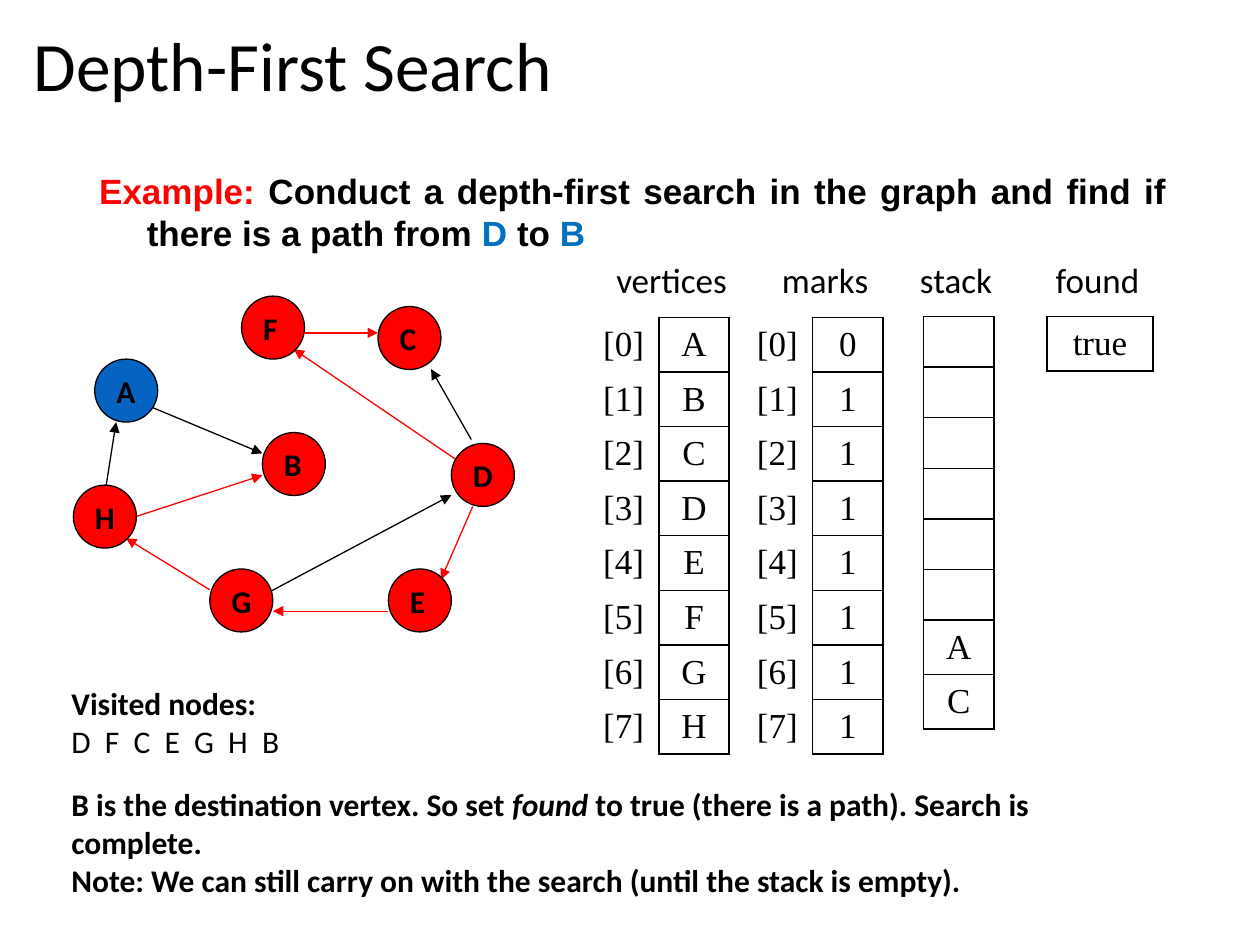
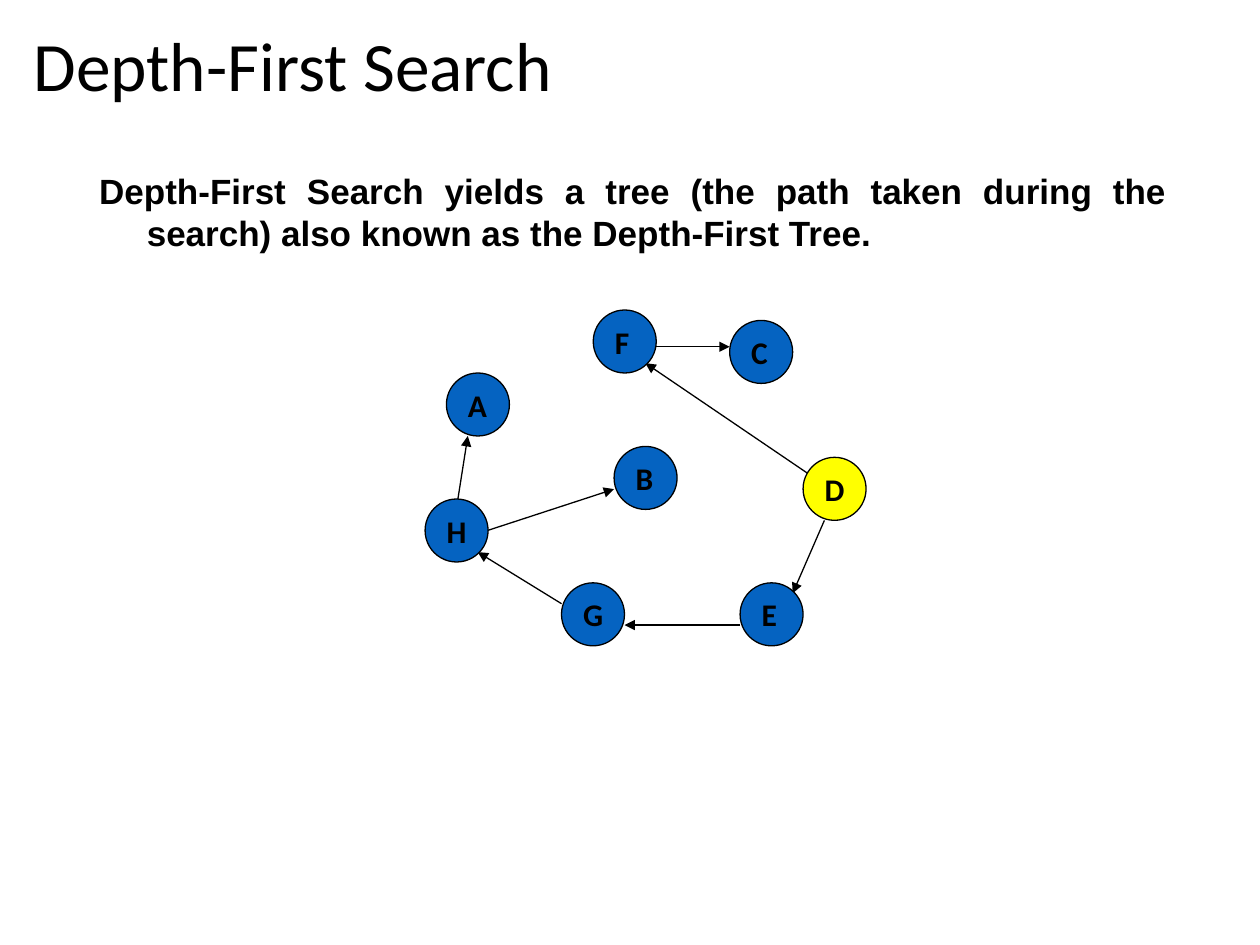
from lxml import etree
from pptx import Presentation
from pptx import util as u
from pptx.dml import color as dml
from pptx.enum import shapes, text
from pptx.oxml import ns

COLORS = {
    "black": "000000",
    "red": "FF0000",
    "blue": "0563C1",
    "accent": "0070C0",
    "yellow": "FFFF00",
}
RGB = {name: dml.RGBColor.from_string(value) for name, value in COLORS.items()}
ALIGN = text.PP_ALIGN

# Text formats
TITLE = {"name": "Calibri", "size": u.Pt(39.6)}
LEAD = {"name": "Arial", "size": u.Pt(20), "bold": True}
HEADING = {"name": "Calibri", "size": u.Pt(20)}
BODY = {"name": "Calibri", "size": u.Pt(18), "bold": True}
CELL = {"name": "Times New Roman", "size": u.Pt(20)}
HANGING = {"marL": u.Cm(0.96), "indent": -u.Cm(0.96)}


def write(tf, paragraphs, base, **para_format):
    """Fill a text frame; each paragraph is a list of (text, format changes)."""
    tf.word_wrap = True
    for i, runs in enumerate(paragraphs):
        p = tf.paragraphs[0] if i == 0 else tf.add_paragraph()
        for key, value in para_format.items():
            setattr(p, key, value)
        for words, changes in runs:
            r = p.add_run()
            r.text = words
            fmt = {"color": "black", **base, **changes}
            r.font.color.rgb = RGB[fmt.pop("color")]
            for key, value in fmt.items():
                setattr(r.font, key, value)


def text_box(s, box, paragraphs, base, **para_format):
    sp = s.shapes.add_textbox(*map(u.Cm, box))
    write(sp.text_frame, paragraphs, base, **para_format)
    return sp.text_frame


prs = Presentation()
prs.slide_width, prs.slide_height = u.Cm(25.4), u.Cm(19.05)

# Graph geometry in cm, as placed on the first slide
NODE_SIZE = 1.27
NODES = {
    "A": (1.91, 7.24), "H": (1.48, 9.78), "B": (5.29, 8.72), "F": (4.87, 5.97),
    "E": (7.83, 11.47), "D": (9.1, 8.94), "C": (7.62, 6.18), "G": (4.23, 11.47),
}
EDGES = {
    "DF": (9.32, 9.35, 5.92, 7.04),
    "DE": (9.53, 10.21, 8.89, 11.68),
    "HB": (2.75, 10.41, 5.29, 9.58),
    "GD": (5.08, 12.12, 9.1, 9.98),
    "HA": (2.11, 9.98, 2.34, 8.51),
    "AB": (2.75, 8.08, 5.29, 9.14),
    "DC": (9.5, 8.86, 8.69, 7.44),
    "EG": (7.83, 12.32, 5.5, 12.32),
    "GH": (4.23, 11.89, 2.54, 10.85),
    "FC": (6.14, 6.71, 7.62, 6.71),
}
WALKED = ["DF", "DE", "HB", "EG", "GH", "FC"]

SLIDES = [
    {
        "lead": [("Example:", {"color": "red"}),
                 (" Conduct a depth-first search in the graph and find if there is a path from ", {}),
                 ("D", {"color": "accent"}), (" to ", {}), ("B", {"color": "accent"})],
        "offset": (0, 0),
        "edges": {e: "red" if e in WALKED else "black" for e in EDGES},
        "nodes": {n: "blue" if n == "A" else "red" for n in NODES},
    },
    {
        "lead": [("Depth-First Search yields a tree (the path taken during the search) "
                  "also known as the Depth-First Tree.", {})],
        "offset": (7.09, 0.28),
        "edges": {e: "black" for e in WALKED + ["HA"]},
        "nodes": {n: "yellow" if n == "D" else "blue" for n in NODES},
    },
]

for spec_values in SLIDES:
    s = prs.slides.add_slide(prs.slide_layouts[6])

    # Title and lead sentence
    tf = text_box(s, (0.43, 0.46, 24.43, 1.88), [[("Depth-First Search", {})]],
                  TITLE, line_spacing=0.9)
    tf.vertical_anchor = text.MSO_ANCHOR.MIDDLE
    tf = text_box(s, (1.75, 3.3, 22.02, 1.96), [spec_values["lead"]], LEAD,
                  alignment=ALIGN.JUSTIFY)
    for key, value in HANGING.items():
        tf.paragraphs[0]._p.get_or_add_pPr().set(key, str(value))

    # Edges
    dx, dy = spec_values["offset"]
    for edge, color in spec_values["edges"].items():
        x1, y1, x2, y2 = EDGES[edge]
        ends = (x1 + dx, y1 + dy, x2 + dx, y2 + dy)
        cn = s.shapes.add_connector(shapes.MSO_CONNECTOR.STRAIGHT, *map(u.Cm, ends))
        cn.line.color.rgb = RGB[color]
        cn.line.width = u.Pt(0.75)
        etree.SubElement(cn.line._get_or_add_ln(), ns.qn("a:tailEnd"), type="triangle")
        etree.SubElement(cn._element.spPr, ns.qn("a:effectLst"))

    # Nodes
    for node, color in spec_values["nodes"].items():
        x, y = NODES[node]
        sp = s.shapes.add_shape(shapes.MSO_SHAPE.OVAL, u.Cm(x + dx), u.Cm(y + dy),
                                u.Cm(NODE_SIZE), u.Cm(NODE_SIZE))
        sp.shadow.inherit = False
        sp.fill.solid()
        sp.fill.fore_color.rgb = RGB[color]
        sp.line.color.rgb = RGB["black"]
        sp.line.width = u.Pt(0.75)
        write(sp.text_frame, [[(node, {})]], BODY, alignment=ALIGN.LEFT)

# Search state on the first slide
s = prs.slides[0]
ROW, EMPTY_ROW, COL = 1.1, 1.02, 1.42

# Headings: left, width
for label, left, width in [("vertices", 11.99, 3.1), ("marks", 15.34, 2.59),
                           ("stack", 17.98, 2.59), ("found", 20.83, 2.59)]:
    text_box(s, (left, 5.08, width, 1.12), [[(label, {})]], HEADING,
             alignment=ALIGN.CENTER)

# Tables: left, top, column width, rows
TABLES = [
    (11.86, 6.4, COL, [(f"[{i}]", v) for i, v in enumerate("ABCDEFGH")]),
    (14.96, 6.4, COL, [(f"[{i}]", v) for i, v in enumerate("01111111")]),
    (18.62, 6.38, COL, [("",)] * 6 + [("A",), ("C",)]),
    (21.11, 6.38, 2.13, [("true",)]),
]
for left, top, width, rows in TABLES:
    heights = [ROW if row[-1] else EMPTY_ROW for row in rows]
    cols = len(rows[0])
    tbl = s.shapes.add_table(len(rows), cols, u.Cm(left), u.Cm(top),
                             u.Cm(width * cols), u.Cm(sum(heights))).table
    tbl.first_row = tbl.horz_banding = False
    for col in tbl.columns:
        col.width = u.Cm(width)
    for i, row in enumerate(rows):
        tbl.rows[i].height = u.Cm(heights[i])
        for j, value in enumerate(row):
            cell = tbl.cell(i, j)
            cell.vertical_anchor = text.MSO_ANCHOR.MIDDLE
            cell.margin_top = cell.margin_bottom = u.Cm(0.1)
            if value:
                write(cell.text_frame, [[(value, {})]], CELL, alignment=ALIGN.CENTER)
            # Index cells share only their right border with the values
            tcPr = cell._tc.get_or_add_tcPr()
            for side in ("lnL", "lnR", "lnT", "lnB"):
                ln = etree.SubElement(tcPr, ns.qn(f"a:{side}"), w=str(u.Pt(1)))
                if j == cols - 1 or side == "lnR":
                    fill = etree.SubElement(ln, ns.qn("a:solidFill"))
                    etree.SubElement(fill, ns.qn("a:srgbClr"), val=COLORS["black"])
                else:
                    etree.SubElement(ln, ns.qn("a:noFill"))
            cell.fill.background()

# Visited nodes and conclusion
text_box(s, (1.19, 13.67, 10.01, 1.8),
         [[("Visited nodes:", {})], [("D  F  C  E  G  H  B", {"bold": False})]], BODY)
text_box(s, (1.19, 15.7, 22.3, 2.57),
         [[("B is the destination vertex. So set ", {}), ("found", {"italic": True}),
           (" to true (there is a path). Search is complete.", {})],
          [("Note: We can still carry on with the search (until the stack is empty).", {})]],
         BODY)

prs.save("out.pptx")
